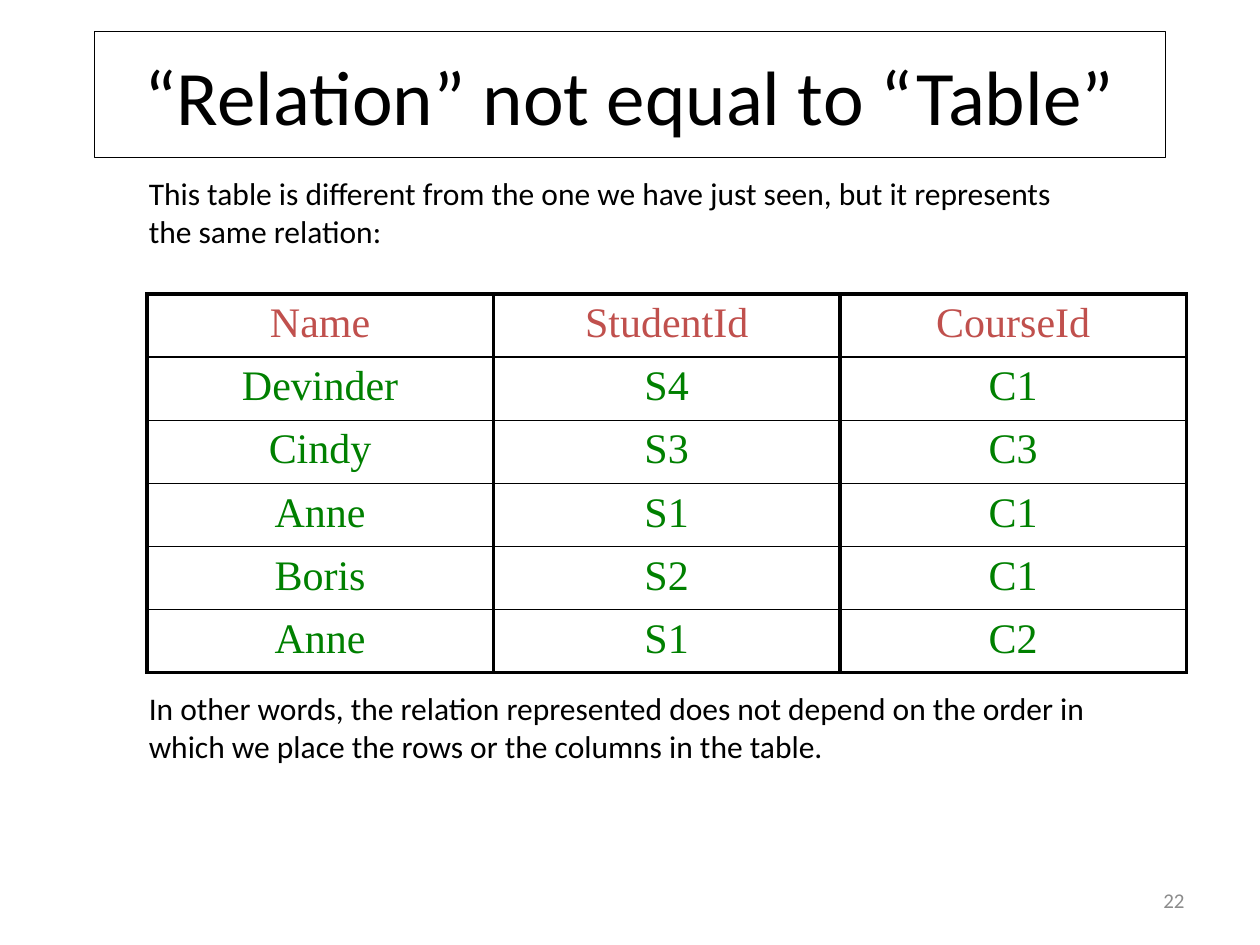
import pptx
import pptx.dml.color
import pptx.enum.text
import pptx.oxml.ns
import pptx.util
from lxml import etree

Cm = pptx.util.Cm
Pt = pptx.util.Pt
Align = pptx.enum.text.PP_ALIGN
Anchor = pptx.enum.text.MSO_ANCHOR

BLACK = pptx.dml.color.RGBColor(0x00, 0x00, 0x00)
WHITE = pptx.dml.color.RGBColor(0xFF, 0xFF, 0xFF)
GRAY = pptx.dml.color.RGBColor(0x8C, 0x8C, 0x8C)
RED = pptx.dml.color.RGBColor(0xC0, 0x50, 0x4D)
GREEN = pptx.dml.color.RGBColor(0x00, 0x80, 0x00)

THICK, THIN = Pt(2.25), Pt(1)

ENROLMENTS = [
    ("Name", "StudentId", "CourseId"),
    ("Devinder", "S4", "C1"),
    ("Cindy", "S3", "C3"),
    ("Anne", "S1", "C1"),
    ("Boris", "S2", "C1"),
    ("Anne", "S1", "C2"),
]


def write_text(frame, text, *, size, color=BLACK, font="Calibri",
               align=Align.LEFT, anchor=Anchor.TOP):
    frame.word_wrap = True
    frame.vertical_anchor = anchor
    para = frame.paragraphs[0]
    para.alignment = align
    span = para.add_run()
    span.text = text
    span.font.size = Pt(size)
    span.font.name = font
    span.font.color.rgb = color


def add_title(page, text):
    title = page.shapes.title
    title.left, title.top = Cm(1.9), Cm(0.64)
    title.width, title.height = Cm(21.59), Cm(2.54)
    title.line.color.rgb = BLACK
    title.line.width = Pt(0.75)
    title.text_frame.auto_size = pptx.enum.text.MSO_AUTO_SIZE.NONE
    write_text(title.text_frame, text, size=44, align=Align.CENTER,
               anchor=Anchor.MIDDLE)


def add_text(page, text, left, top, width, height, **text_format):
    box = page.shapes.add_textbox(left, top, width, height)
    write_text(box.text_frame, text, **text_format)


def set_border(cell, side, width):
    """Draw a black line on one side (L, R, T or B) of a cell."""
    properties = cell._tc.get_or_add_tcPr()
    qn = pptx.oxml.ns.qn
    line = etree.SubElement(properties, qn(f"a:ln{side}"), w=str(width))
    fill = etree.SubElement(line, qn("a:solidFill"))
    etree.SubElement(fill, qn("a:srgbClr"), val=str(BLACK))


def add_relation_table(page, rows, left, top, width, height):
    last = len(rows) - 1
    table = page.shapes.add_table(len(rows), len(rows[0]), left, top,
                                  width, height).table
    for row_index, values in enumerate(rows):
        for column_index, value in enumerate(values):
            cell = table.cell(row_index, column_index)
            write_text(cell.text_frame, value, size=24,
                       font="Times New Roman", align=Align.CENTER,
                       color=RED if row_index == 0 else GREEN)
            set_border(cell, "L", THICK)
            set_border(cell, "R", THICK)
            set_border(cell, "T", THICK if row_index == 0 else THIN)
            set_border(cell, "B", THICK if row_index == last else THIN)
            cell.fill.solid()
            cell.fill.fore_color.rgb = WHITE


def main():
    deck = pptx.Presentation()
    deck.slide_width, deck.slide_height = Cm(25.4), Cm(19.05)
    page = deck.slides.add_slide(deck.slide_layouts.get_by_name("Title Only"))

    add_title(page, "“Relation” not equal to “Table”")
    add_text(page, "This table is different from the one we have just seen, "
             "but it represents the same relation:",
             Cm(2.75), Cm(3.39), Cm(19.47), Cm(2.29), size=18)
    add_relation_table(page, ENROLMENTS,
                       Cm(2.96), Cm(5.93), Cm(20.96), Cm(7.62))
    add_text(page, "In other words, the relation represented does not depend "
             "on the order in which we place the rows or the columns in the "
             "table.",
             Cm(2.75), Cm(13.76), Cm(19.47), Cm(3.3), size=18)
    add_text(page, "22", Cm(18.2), Cm(17.65), Cm(5.93), Cm(1.01), size=12,
             color=GRAY, align=Align.RIGHT, anchor=Anchor.MIDDLE)

    deck.save("out.pptx")


if __name__ == "__main__":
    main()
